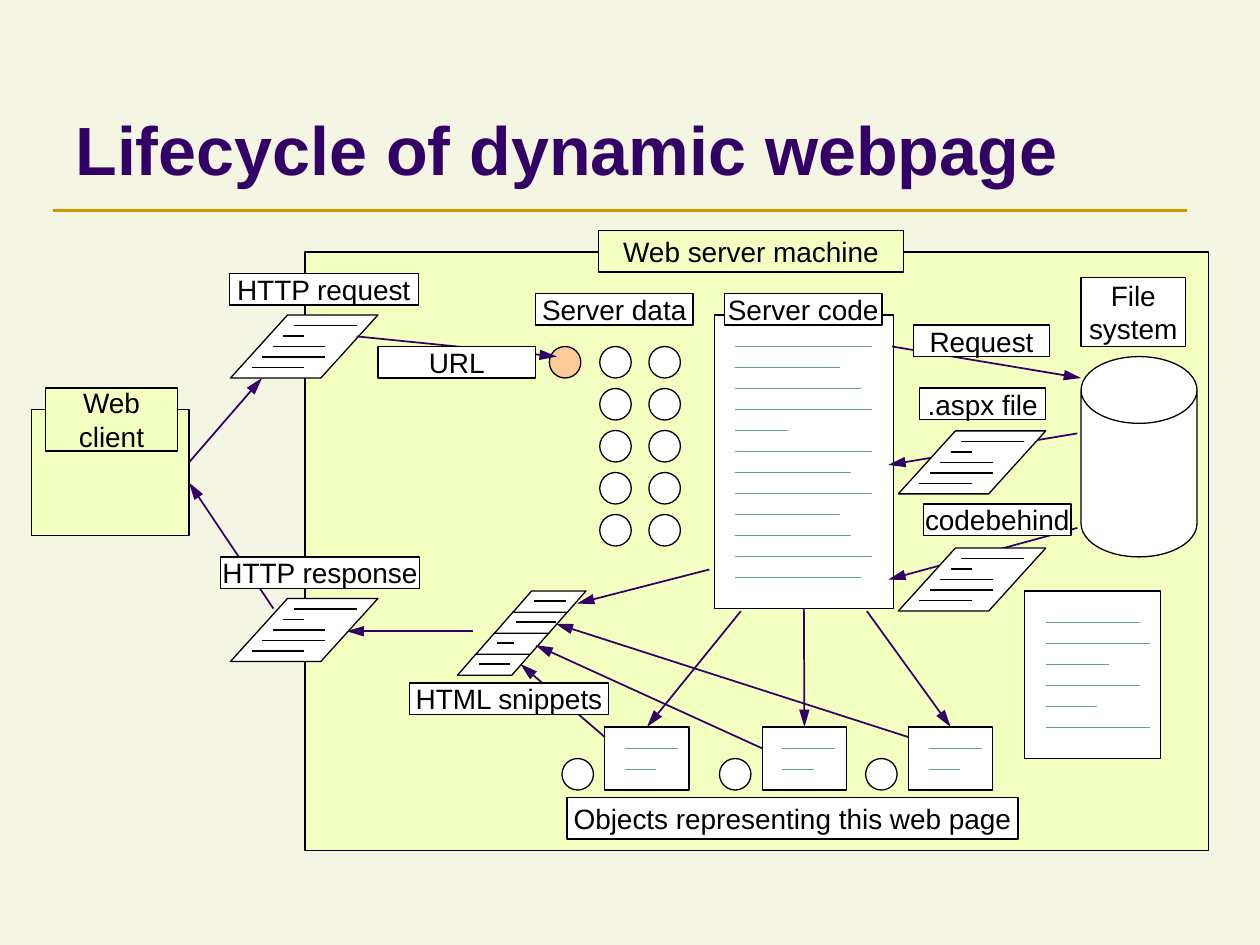
from typing import NamedTuple

from lxml.etree import SubElement
from pptx import Presentation
from pptx.dml.color import RGBColor
from pptx.enum.shapes import MSO_CONNECTOR, MSO_SHAPE
from pptx.enum.text import MSO_ANCHOR, PP_ALIGN
from pptx.oxml.ns import qn
from pptx.util import Inches, Pt

FONT = "Arial"
BLACK, WHITE = "000000", "FFFFFF"
LIME, PEACH, CREAM = "F2FFC1", "FFCC99", "F5F5E3"
PURPLE, TEAL, GOLD = "330066", "669999", "CC9900"
STEP = 1 / 6  # gap between lines of code
RECT, OVAL, SLANT = MSO_SHAPE.RECTANGLE, MSO_SHAPE.OVAL, MSO_SHAPE.PARALLELOGRAM


class Box(NamedTuple):
    left: float
    top: float
    width: float
    height: float
    fill: str = WHITE
    text: str = ""


class Line(NamedTuple):
    x1: float
    y1: float
    x2: float
    y2: float


deck = Presentation()
deck.slide_width, deck.slide_height = Inches(10), Inches(7.5)
slide = deck.slides.add_slide(deck.slide_layouts[6])


def color(code: str) -> RGBColor:
    return RGBColor.from_string(code)


def style(frame, size: float, code: str, bold: bool = False) -> None:
    for para in frame.paragraphs:
        for run in para.runs:
            run.font.name, run.font.size = FONT, Pt(size)
            run.font.bold, run.font.color.rgb = bold, color(code)


def draw(box: Box, kind=RECT, adjust: float | None = None):
    shape = slide.shapes.add_shape(kind, *map(Inches, box[:4]))
    shape.shadow.inherit = False
    shape.fill.solid()
    shape.fill.fore_color.rgb = color(box.fill)
    shape.line.color.rgb, shape.line.width = color(BLACK), Pt(0.75)
    if adjust is not None:
        shape.adjustments[0] = adjust
    if box.text:
        frame = shape.text_frame
        frame.text = box.text
        frame.word_wrap = False
        frame.vertical_anchor = MSO_ANCHOR.MIDDLE
        for para in frame.paragraphs:
            para.alignment = PP_ALIGN.CENTER
        style(frame, 16, BLACK)
    return shape


def rule(line: Line, code: str = BLACK, width: float = 0.75):
    link = slide.shapes.add_connector(MSO_CONNECTOR.STRAIGHT, *map(Inches, line))
    link.line.color.rgb, link.line.width = color(code), Pt(width)
    SubElement(link._element.spPr, qn("a:effectLst"))
    return link


def arrow(line: Line):
    link = rule(line, PURPLE, 1)
    tail = SubElement(link.line._get_or_add_ln(), qn("a:tailEnd"), type="triangle")
    tail.set("len", "lg")
    return link


def code_lines(left: float, top: float, sizes: list[float]) -> None:
    for i, size in enumerate(sizes):
        y = top + i * STEP
        rule(Line(left, y, left + size, y), TEAL)


def page(left: float, top: float) -> None:
    """Slanted sheet with five lines of writing."""
    draw(Box(left, top, 1.17, 0.5), SLANT, 0.906)
    for i, size in enumerate([0.5, 0.17, 0.42, 0.5, 0.42]):
        x, y = left + 0.5 - i / 12, top + (i + 1) / 12
        rule(Line(x, y, x + size, y))


# Background and title
slide.background.fill.solid()
slide.background.fill.fore_color.rgb = color(CREAM)
rule(Line(0.42, 1.67, 9.42, 1.67), GOLD, 1.5)
title = slide.shapes.add_textbox(*map(Inches, (0.5, 0.13, 8.25, 1.42))).text_frame
title.text = "Lifecycle of dynamic webpage"
title.word_wrap = True
title.vertical_anchor = MSO_ANCHOR.BOTTOM
style(title, 39, PURPLE, True)

# Server machine with its code
draw(Box(2.42, 2, 7.17, 4.75, LIME))
draw(Box(4.75, 1.83, 2.42, 0.33, LIME, "Web server machine"))
code = draw(Box(5.67, 2.5, 1.42, 2.33))
draw(Box(5.75, 2.33, 1.25, 0.25, text="Server code"))
code_lines(5.83, 2.75, [1.09, 0.84, 1, 1.09, 0.42, 1.09,
                        0.92, 1.09, 0.84, 0.92, 1.09, 1])

# Server data
draw(Box(4.25, 2.33, 1.25, 0.25, text="Server data"))
draw(Box(4.36, 2.75, 0.25, 0.25, PEACH), OVAL)
for x in (4.76, 5.15):
    for row in range(5):
        draw(Box(x, 2.75 + row / 3, 0.25, 0.25), OVAL)

# File system
draw(Box(8.58, 2.83, 0.92, 1.59), MSO_SHAPE.CAN, 0.576)
draw(Box(8.58, 2.2, 0.83, 0.55, text="File\nsystem"))

# Client, request and response
draw(Box(0.25, 3.25, 1.25, 1, LIME))
draw(Box(0.36, 3.08, 1.05, 0.5, LIME, "Web\nclient"))
arrow(Line(2.17, 4.83, 1.5, 3.83))
page(1.83, 2.5)
page(1.83, 4.75)
for line in (Line(1.5, 3.67, 2.08, 3), Line(2.83, 2.67, 4.42, 2.83),
             Line(7.08, 2.75, 8.58, 3)):
    arrow(line)
for label in (Box(1.82, 2.17, 1.5, 0.25, text="HTTP request"),
              Box(3, 2.75, 1.25, 0.25, text="URL"),
              Box(7.25, 2.58, 1.08, 0.25, text="Request"),
              Box(1.75, 4.42, 1.58, 0.25, text="HTTP response")):
    draw(label)

# Listing at the lower right
draw(Box(8.13, 4.69, 1.08, 1.33))
code_lines(8.3, 4.94, [0.75, 0.83, 0.5, 0.75, 0.41, 0.83])

# HTML snippets, from the bottom up
for i, size in enumerate([0.25, 0.13, 0.32, 0.25]):
    x, y = 3.63 + i * 0.147, 5.19 - i * STEP
    draw(Box(x, y, 0.58, 0.17), SLANT, 0.874)
    rule(Line(x + 0.17, y + 0.08, x + 0.17 + size, y + 0.08))
arrow(Line(5.63, 4.52, 4.58, 4.79))
arrow(Line(3.75, 5.01, 2.75, 5.01))

# Page objects: made by the code, each sends back a snippet
for x, start, back in (
    (4.8, 5.88, Line(4.8, 5.85, 4.13, 5.27)),
    (6.05, 6.39, Line(6.05, 5.94, 4.25, 5.12)),
    (7.21, 6.88, Line(7.21, 5.85, 4.41, 4.95)),
):
    draw(Box(x - 0.34, 6.02, 0.25, 0.25), OVAL)
    item = draw(Box(x, 5.77, 0.67, 0.5))
    code_lines(x + 0.16, 5.94, [0.42, 0.25])
    arrow(back)
    make = arrow(Line(start, 4.85, x + 0.34, 5.77))
    make.end_connect(item, 0)
    if x == 6.05:
        make.begin_connect(code, 2)
draw(Box(4.5, 6.33, 3.58, 0.33, text="Objects representing this web page"))
draw(Box(3.25, 5.42, 1.58, 0.25, text="HTML snippets"))

# Files read from the file system
draw(Box(7.3, 3.08, 1, 0.25, text=".aspx file"))
arrow(Line(8.55, 3.44, 7.05, 3.69))
arrow(Line(8.55, 4.19, 7.05, 4.6))
page(7.13, 3.42)
page(7.13, 4.35)
draw(Box(7.33, 4, 1.17, 0.25, text="codebehind"))

deck.save("out.pptx")
